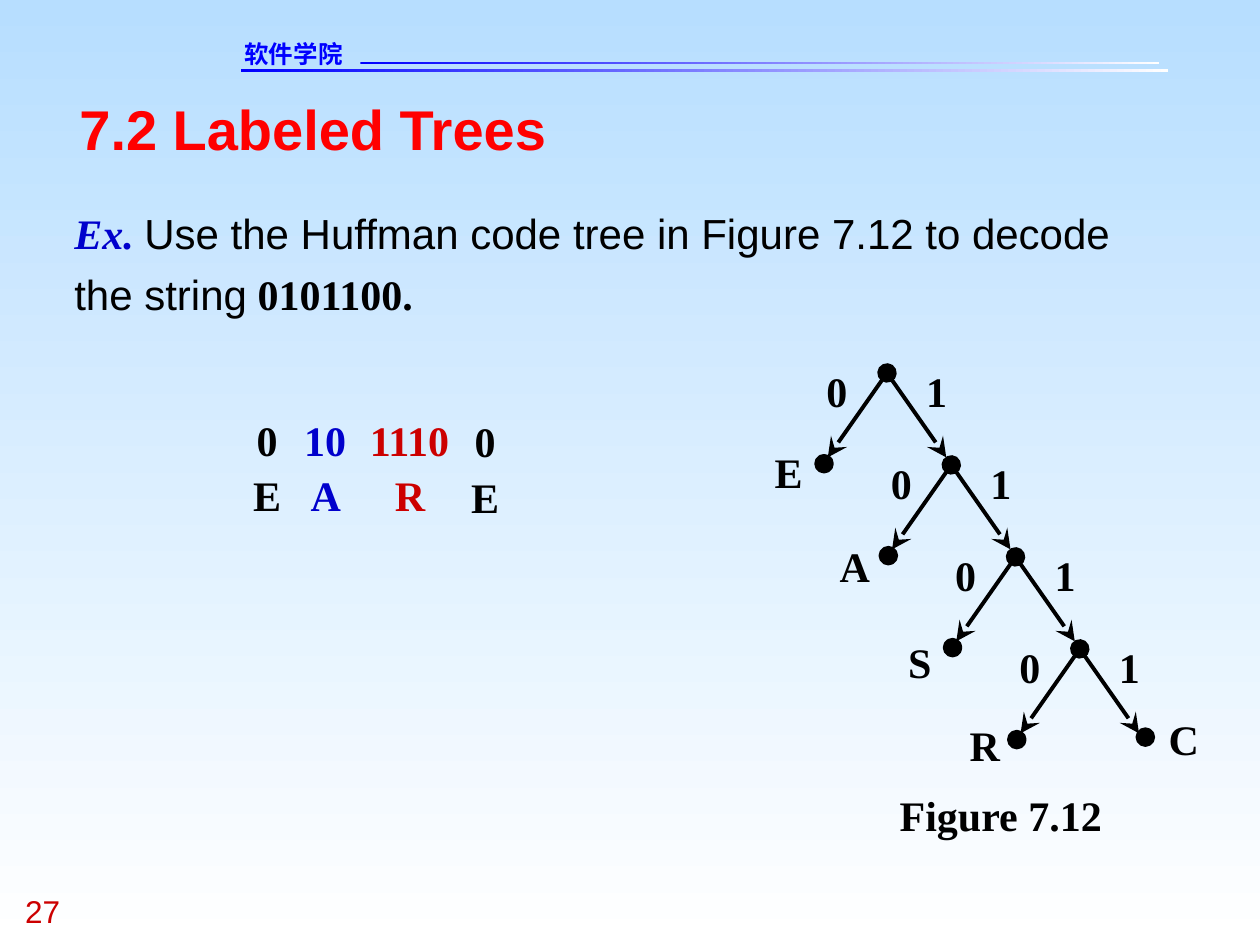
from dataclasses import dataclass

from lxml.etree import SubElement
from pptx import Presentation
from pptx.dml.color import RGBColor
from pptx.enum.shapes import MSO_CONNECTOR as Connector, MSO_SHAPE as Shape
from pptx.enum.text import MSO_ANCHOR as Anchor, PP_ALIGN as Align
from pptx.oxml.ns import qn
from pptx.util import Inches, Pt


@dataclass(frozen=True)
class Theme:
    sans: str = "Arial"
    serif: str = "Times New Roman"
    header_font: str = "DejaVu Sans"
    black: str = "000000"
    white: str = "FFFFFF"
    sky: str = "B7DEFF"
    bright_blue: str = "0000FF"
    blue: str = "0000CC"
    dark_red: str = "CC0000"
    red: str = "FF0000"
    title_size: int = 32
    body_size: int = 24
    number_size: int = 18
    header_size: int = 14


THEME = Theme()
DOT_SIZE = 0.12
LEVEL_X, LEVEL_Y = 0.51, 0.73
EDGE_X, EDGE_Y = 0.47, 0.67


def style_font(font, name, size, color, bold=False, italic=False):
    font.name = name
    font.size = Pt(size)
    font.bold = bold
    font.italic = italic
    font.color.rgb = RGBColor.from_string(color)


def set_gradient(fill, first, last, angle):
    fill.gradient()
    fill.gradient_angle = angle
    for stop, color in zip(fill.gradient_stops, (first, last)):
        stop.color.rgb = RGBColor.from_string(color)


def clear_margins(frame, wrap=True):
    frame.margin_left = frame.margin_right = 0
    frame.margin_top = frame.margin_bottom = 0
    frame.vertical_anchor = Anchor.TOP
    frame.word_wrap = wrap


def add_text(shapes, text, left, top, width, height=0.4, name=THEME.serif,
             size=THEME.body_size, color=THEME.black, bold=True,
             align=Align.LEFT, wrap=True):
    box = shapes.add_textbox(Inches(left), Inches(top), Inches(width), Inches(height))
    clear_margins(box.text_frame, wrap)
    paragraph = box.text_frame.paragraphs[0]
    paragraph.text = text
    paragraph.alignment = align
    style_font(paragraph.font, name, size, color, bold)


def add_symbol(shapes, text, center, top, color=THEME.black):
    width = 0.17 * len(text) + 0.06
    add_text(shapes, text, center - width / 2, top, width, color=color,
             align=Align.CENTER, wrap=False)


def add_rule(shapes, left, top, width):
    rule = shapes.add_shape(Shape.RECTANGLE, Inches(left), Inches(top),
                            Inches(width), Inches(0.02))
    rule.shadow.inherit = False
    rule.line.fill.background()
    set_gradient(rule.fill, THEME.bright_blue, THEME.white, 0)


def add_dot(shapes, center_x, center_y):
    dot = shapes.add_shape(Shape.OVAL, Inches(center_x - DOT_SIZE / 2),
                           Inches(center_y - DOT_SIZE / 2),
                           Inches(DOT_SIZE), Inches(DOT_SIZE))
    dot.shadow.inherit = False
    dot.fill.solid()
    dot.fill.fore_color.rgb = RGBColor.from_string(THEME.black)
    dot.line.color.rgb = RGBColor.from_string(THEME.black)
    dot.line.width = Pt(2.5)


def add_edge(shapes, x, y, direction, oval_start):
    edge = shapes.add_connector(Connector.STRAIGHT, Inches(x), Inches(y),
                                Inches(x + direction * EDGE_X), Inches(y + EDGE_Y))
    edge.line.color.rgb = RGBColor.from_string(THEME.black)
    edge.line.width = Pt(2.25)
    line = edge.line._get_or_add_ln()
    if oval_start:
        SubElement(line, qn("a:headEnd"), type="oval", w="lg", len="lg")
    SubElement(line, qn("a:tailEnd"), type="stealth", w="lg", len="lg")
    SubElement(edge._element.spPr, qn("a:effectLst"))


def add_header(shapes):
    add_rule(shapes, 1.91, 0.55, 7.36)
    add_rule(shapes, 2.86, 0.49, 6.34)
    add_text(shapes, "软件学院", 1.94, 0.31, 1.45, 0.23, THEME.header_font,
             THEME.header_size, THEME.bright_blue)


def add_title(slide):
    title = slide.shapes.title
    title.left, title.top = Inches(0.63), Inches(0.75)
    title.width, title.height = Inches(8.75), Inches(0.53)
    clear_margins(title.text_frame)
    paragraph = title.text_frame.paragraphs[0]
    paragraph.text = "7.2 Labeled Trees"
    paragraph.alignment = Align.LEFT
    style_font(paragraph.font, THEME.sans, THEME.title_size, THEME.red, True)


def add_exercise(shapes):
    box = shapes.add_textbox(Inches(0.59), Inches(1.57), Inches(8.76), Inches(0.96))
    clear_margins(box.text_frame)
    paragraph = box.text_frame.paragraphs[0]
    paragraph.line_spacing = 1.2
    runs = [
        ("Ex. ", THEME.serif, THEME.blue, True, True),
        ("Use the Huffman code tree in Figure 7.12 to decode the string",
         THEME.sans, THEME.black, False, False),
        (" 0101100.", THEME.serif, THEME.black, True, False),
    ]
    for text, name, color, bold, italic in runs:
        run = paragraph.add_run()
        run.text = text
        style_font(run.font, name, THEME.body_size, color, bold, italic)


def add_decoding(shapes):
    columns = [
        ("0", "E", 2.12, 3.29, THEME.black),
        ("10", "A", 2.58, 3.29, THEME.blue),
        ("1110", "R", 3.25, 3.29, THEME.dark_red),
        ("0", "E", 3.85, 3.3, THEME.black),
    ]
    for code, letter, center, top, color in columns:
        add_symbol(shapes, code, center, top, color)
        add_symbol(shapes, letter, center, top + 0.44, color)


def add_tree(shapes):
    leaves = [("E", 6.26, 3.54), ("A", 6.78, 4.29), ("S", 7.3, 5.05), ("R", 7.81, 5.71)]
    for level, (letter, letter_center, letter_top) in enumerate(leaves):
        x, y = 7.04 + level * LEVEL_X, 2.96 + level * LEVEL_Y
        add_edge(shapes, x, y, -1, True)
        add_edge(shapes, x, y, 1, False)
        add_dot(shapes, x - 0.5, y + 0.72)
        add_text(shapes, "0", x - 0.48, y - 0.06, 0.2)
        add_text(shapes, "1", x + 0.31, y - 0.06, 0.2)
        add_symbol(shapes, letter, letter_center, letter_top)
    add_dot(shapes, 9.09, 5.85)
    add_symbol(shapes, "C", 9.39, 5.66)


def main():
    presentation = Presentation()
    presentation.slide_width, presentation.slide_height = Inches(10), Inches(7.5)
    slide = presentation.slides.add_slide(presentation.slide_layouts[5])
    set_gradient(slide.background.fill, THEME.sky, THEME.white, 270)
    add_header(slide.shapes)
    add_title(slide)
    add_exercise(slide.shapes)
    add_decoding(slide.shapes)
    add_tree(slide.shapes.add_group_shape().shapes)
    add_text(slide.shapes, "Figure 7.12", 7.14, 6.27, 1.61, wrap=False)
    add_text(slide.shapes, "27", 0.2, 7.08, 0.75, 0.3, THEME.sans,
             THEME.number_size, THEME.dark_red, False)
    presentation.save("out.pptx")


if __name__ == "__main__":
    main()
